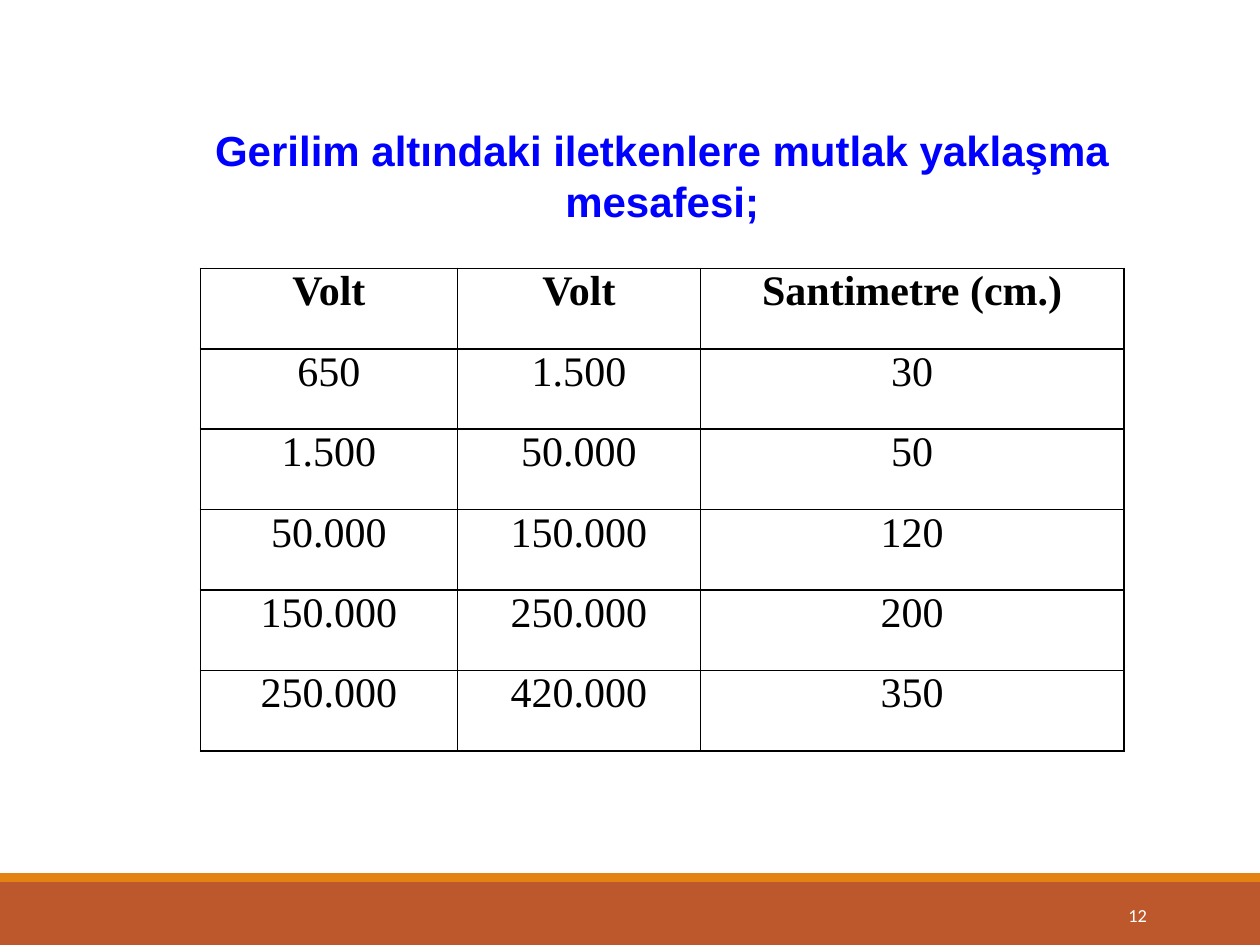
from lxml import etree
from pptx import Presentation
from pptx.dml.color import RGBColor
from pptx.enum.shapes import MSO_SHAPE
from pptx.enum.text import MSO_ANCHOR, MSO_AUTO_SIZE, PP_ALIGN
from pptx.oxml.ns import qn
from pptx.util import Inches, Pt

RECT = MSO_SHAPE.RECTANGLE
TOP, MIDDLE = MSO_ANCHOR.TOP, MSO_ANCHOR.MIDDLE
CENTER, RIGHT = PP_ALIGN.CENTER, PP_ALIGN.RIGHT
COLORS = {"rust": "BD582C", "orange": "E48312", "blue": "0000FF",
          "black": "000000", "white": "FFFFFF"}


def write(tf, text, font, size, color, bold=False, align=CENTER, after=0):
    p = tf.paragraphs[0]
    p.alignment = align
    p.space_after = Pt(after)
    r = p.add_run()
    r.text = text
    r.font.name = font
    r.font.size = Pt(size)
    r.font.bold = bold
    r.font.color.rgb = RGBColor.from_string(COLORS[color])


def add_border(cell, color, width):
    tcPr = cell._tc.get_or_add_tcPr()
    for side in ("lnL", "lnR", "lnT", "lnB"):
        ln = etree.SubElement(tcPr, qn(f"a:{side}"), w=str(Pt(width)))
        fill = etree.SubElement(ln, qn("a:solidFill"))
        etree.SubElement(fill, qn("a:srgbClr"), val=COLORS[color])


prs = Presentation()
prs.slide_width, prs.slide_height = Inches(10), Inches(7.5)
s = prs.slides.add_slide(prs.slide_layouts[5])

for top, height, color in ((7, 0.5, "rust"), (6.93, 0.07, "orange")):
    sp = s.shapes.add_shape(RECT, 0, Inches(top), Inches(10), Inches(height))
    sp.shadow.inherit = False
    sp.fill.solid()
    sp.fill.fore_color.rgb = RGBColor.from_string(COLORS[color])
    sp.line.fill.background()

title = s.shapes.title
title.left, title.top = Inches(1.42), Inches(0.92)
title.width, title.height = Inches(7.67), Inches(1.21)
tf = title.text_frame
tf.word_wrap = True
tf.auto_size = MSO_AUTO_SIZE.NONE
tf.vertical_anchor = TOP
tf.margin_top = Inches(0.07)
write(tf, "Gerilim altındaki iletkenlere mutlak yaklaşma mesafesi;",
      "Arial", 24, "blue", bold=True)

rows = [
    ("Volt", "Volt", "Santimetre (cm.)"),
    ("650", "1.500", "30"),
    ("1.500", "50.000", "50"),
    ("50.000", "150.000", "120"),
    ("150.000", "250.000", "200"),
    ("250.000", "420.000", "350"),
]
widths = (2.04, 1.93, 3.36)
table = s.shapes.add_table(len(rows), len(widths), Inches(1.59), Inches(2.13),
                           Inches(sum(widths)), Inches(3.83)).table
table.first_row = False
table.horz_banding = False
for column, width in zip(table.columns, widths):
    column.width = Inches(width)
for i, row in enumerate(rows):
    for j, text in enumerate(row):
        cell = table.cell(i, j)
        cell.margin_left = cell.margin_right = Inches(0.05)
        cell.margin_top = cell.margin_bottom = 0
        add_border(cell, "black", 1)
        cell.fill.background()
        write(cell.text_frame, text, "Times New Roman", 24, "black",
              bold=i == 0, after=6)

number = s.shapes.add_textbox(Inches(8.12), Inches(7.06), Inches(1.08), Inches(0.4))
tf = number.text_frame
tf.word_wrap = True
tf.vertical_anchor = MIDDLE
write(tf, "12", "Calibri", 10.5, "white", align=RIGHT)

prs.save("out.pptx")
